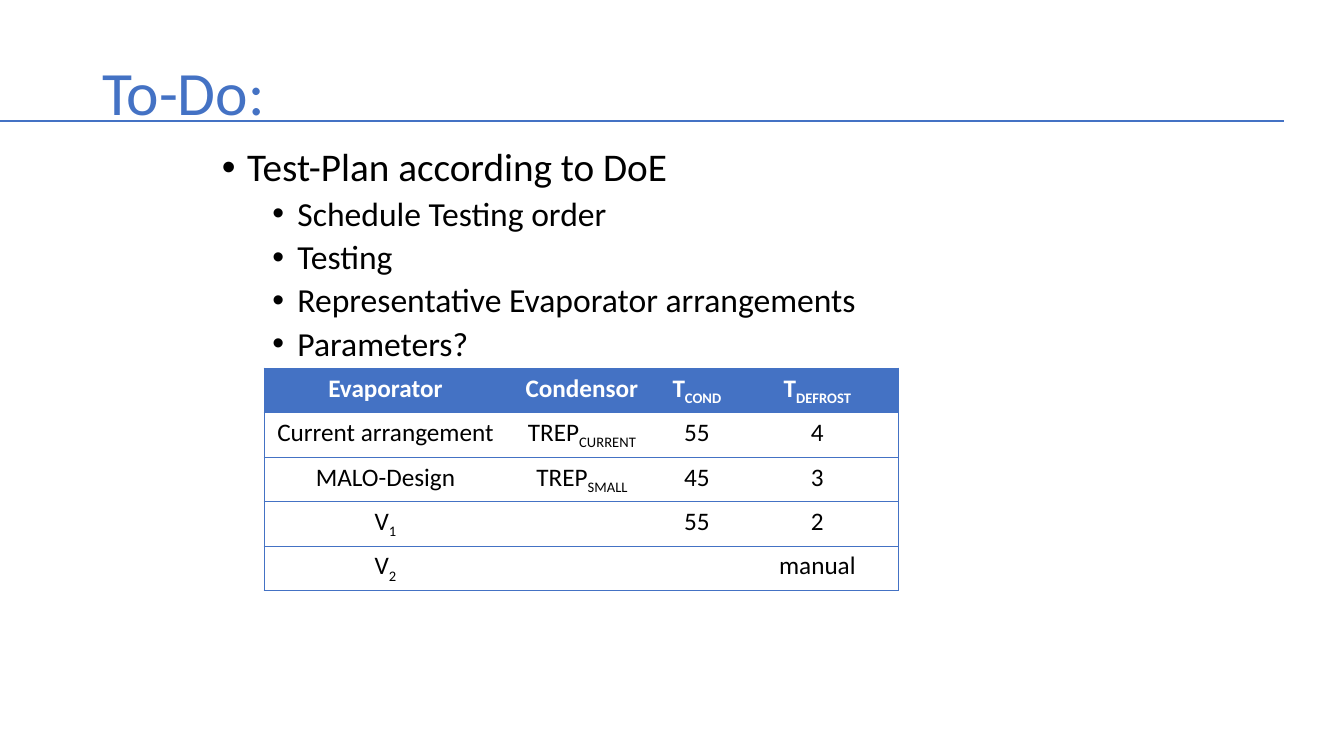
from dataclasses import dataclass

from lxml import etree
from pptx import Presentation
from pptx import util as u
from pptx.dml.color import RGBColor
from pptx.enum import shapes, text
from pptx.oxml import ns

PX = 914400 / 100.8


@dataclass(frozen=True)
class Theme:
    """Colours, font and type sizes of the slide."""
    accent: RGBColor = RGBColor(0x44, 0x72, 0xC4)
    ink: RGBColor = RGBColor(0, 0, 0)
    paper: RGBColor = RGBColor(255, 255, 255)
    font: str = "Calibri"
    title: int = 44
    topic: int = 28
    task: int = 24
    table: int = 18
    rule: float = 0.75
    border: float = 0.5


@dataclass(frozen=True)
class Bullet:
    """One bulleted line; level 0 is the topic, level 1 a task."""
    words: str
    level: int = 1


T = Theme()
BULLETS = [
    Bullet("Test-Plan according to DoE", 0),
    Bullet("Schedule Testing order"),
    Bullet("Testing"),
    Bullet("Representative Evaporator arrangements"),
    Bullet("Parameters?"),
]
# An underscore starts a subscript.
PLAN = [
    ["Evaporator", "Condensor", "T_COND", "T_DEFROST"],
    ["Current arrangement", "TREP_CURRENT", "55", "4"],
    ["MALO-Design", "TREP_SMALL", "45", "3"],
    ["V_1", "", "55", "2"],
    ["V_2", "", "", "manual"],
]
COLUMN_WIDTHS = [243, 150, 80, 161]
ROW_HEIGHT = 41


def px(n: int) -> int:
    """Turn whole pixels into EMU."""
    return round(n * PX)


def assign(obj, values: dict) -> None:
    """Set every attribute named in values."""
    for name, value in values.items():
        setattr(obj, name, value)


def box(left: int, top: int, width: int, height: int) -> dict:
    """Give a position and size in EMU by attribute name."""
    return dict(left=px(left), top=px(top), width=px(width), height=px(height))


def add_text(p, words: str, size: int, color: RGBColor, bold: bool = False) -> None:
    """Write runs into a paragraph, lowering what follows an underscore."""
    for i, part in enumerate(words.split("_")):
        r = p.add_run()
        r.text = part
        assign(r.font, dict(name=T.font, size=u.Pt(size), bold=bold))
        r.font.color.rgb = color
        if i:
            r.font._element.set("baseline", "-25000")


def add_title(s, words: str) -> None:
    """Place and format the title placeholder."""
    sp = s.shapes.title
    assign(sp, box(92, 23, 1159, 146))
    assign(sp.text_frame, dict(vertical_anchor=text.MSO_ANCHOR.MIDDLE, word_wrap=True,
                               auto_size=text.MSO_AUTO_SIZE.NONE))
    p = sp.text_frame.paragraphs[0]
    assign(p, dict(alignment=text.PP_ALIGN.LEFT, line_spacing=0.9))
    add_text(p, words, T.title, T.accent)


def add_rule(s, y: int, right: int) -> None:
    """Draw the line under the title from the left edge."""
    line = s.shapes.add_connector(shapes.MSO_CONNECTOR.STRAIGHT, 0, px(y), px(right), px(y))
    line.line.color.rgb = T.accent
    line.line.width = u.Pt(T.rule)
    etree.SubElement(line._element.spPr, ns.qn("a:effectLst"))


def add_bullets(s, bullets: list[Bullet]) -> None:
    """Write the bulleted list."""
    tf = s.shapes.add_textbox(**box(212, 143, 918, 572)).text_frame
    tf.word_wrap = True
    for i, bullet in enumerate(bullets):
        p = tf.add_paragraph() if i else tf.paragraphs[0]
        assign(p, dict(level=bullet.level, line_spacing=0.9,
                       space_before=u.Pt(5 if bullet.level else 10)))
        add_text(p, bullet.words, T.task if bullet.level else T.topic, T.ink)
        pPr = p._p.get_or_add_pPr()
        pPr.set("marL", str(u.Inches(0.25 + 0.5 * bullet.level)))
        pPr.set("indent", str(u.Inches(-0.25)))
        etree.SubElement(pPr, ns.qn("a:buFont"), typeface="Arial")
        etree.SubElement(pPr, ns.qn("a:buChar"), char="•")


def set_borders(cell, first: bool, last: bool) -> None:
    """Rule a cell above and below, and at the table's outer sides."""
    tcPr = cell._tc.get_or_add_tcPr()
    sides = dict(lnL=first, lnR=last, lnT=True, lnB=True)
    for i, (side, visible) in enumerate(sides.items()):
        ln = etree.Element(ns.qn(f"a:{side}"), w=str(u.Pt(T.border)))
        fill = etree.SubElement(ln, ns.qn("a:solidFill" if visible else "a:noFill"))
        if visible:
            etree.SubElement(fill, ns.qn("a:srgbClr"), val=str(T.accent))
        tcPr.insert(i, ln)


def add_plan(s, rows: list[list[str]]) -> None:
    """Build the table of test parameters."""
    size = box(264, 368, sum(COLUMN_WIDTHS), ROW_HEIGHT * len(rows))
    table = s.shapes.add_table(len(rows), len(COLUMN_WIDTHS), **size).table
    table.horz_banding = False
    for column, width in zip(table.columns, COLUMN_WIDTHS):
        column.width = px(width)
    for i, row in enumerate(rows):
        table.rows[i].height = px(ROW_HEIGHT)
        header = i == 0
        for j, words in enumerate(row):
            cell = table.cell(i, j)
            set_borders(cell, j == 0, j == len(row) - 1)
            if header:
                cell.fill.solid()
                cell.fill.fore_color.rgb = T.accent
            else:
                cell.fill.background()
            p = cell.text_frame.paragraphs[0]
            p.alignment = text.PP_ALIGN.CENTER
            if words:
                add_text(p, words, T.table, T.paper if header else T.ink, header)


def main() -> None:
    """Build and save the slide."""
    prs = Presentation()
    assign(prs, dict(slide_width=px(1344), slide_height=px(756)))
    s = prs.slides.add_slide(prs.slide_layouts[5])
    add_rule(s, 121, 1284)
    add_title(s, "To-Do:")
    add_bullets(s, BULLETS)
    add_plan(s, PLAN)
    prs.save("out.pptx")


main()
